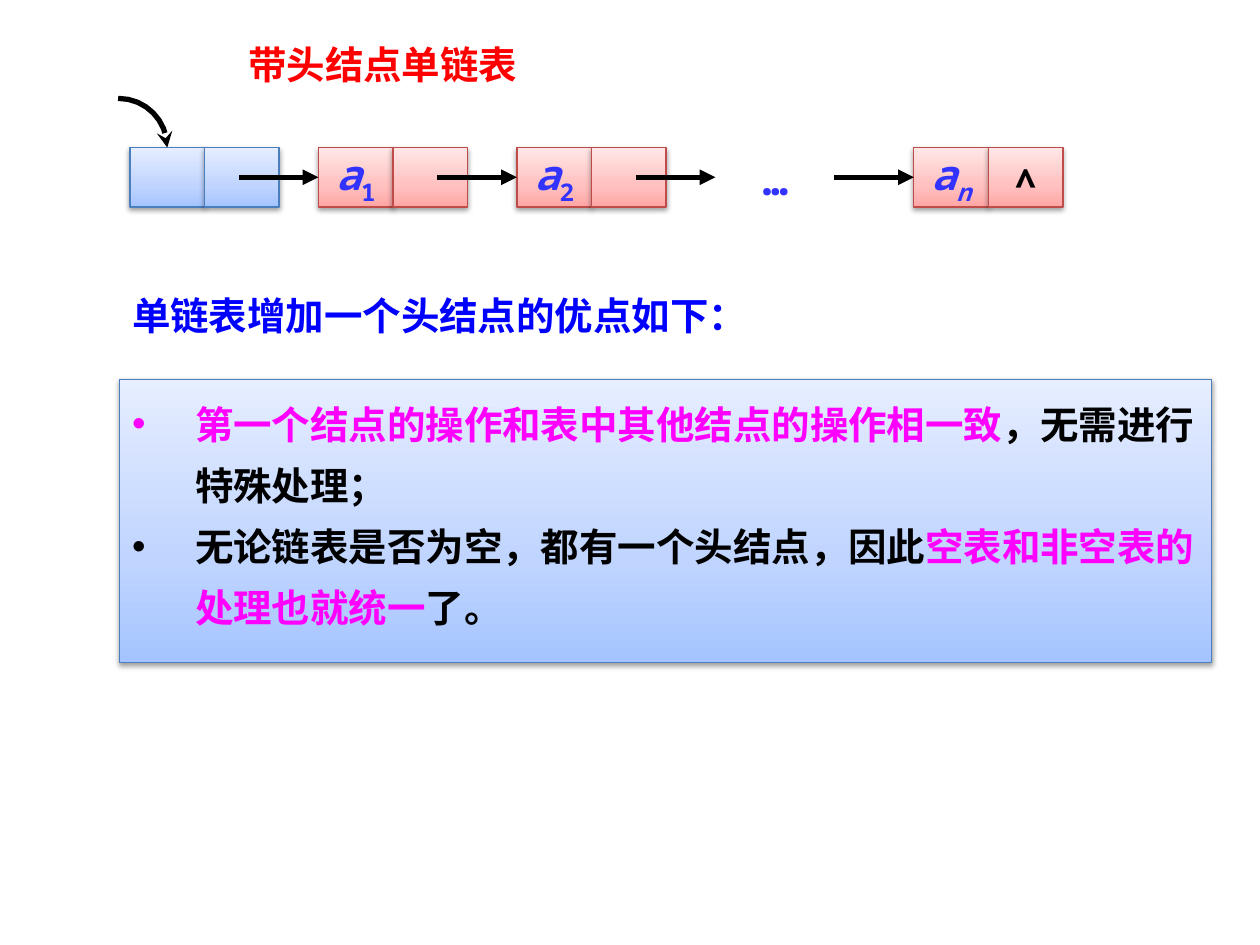
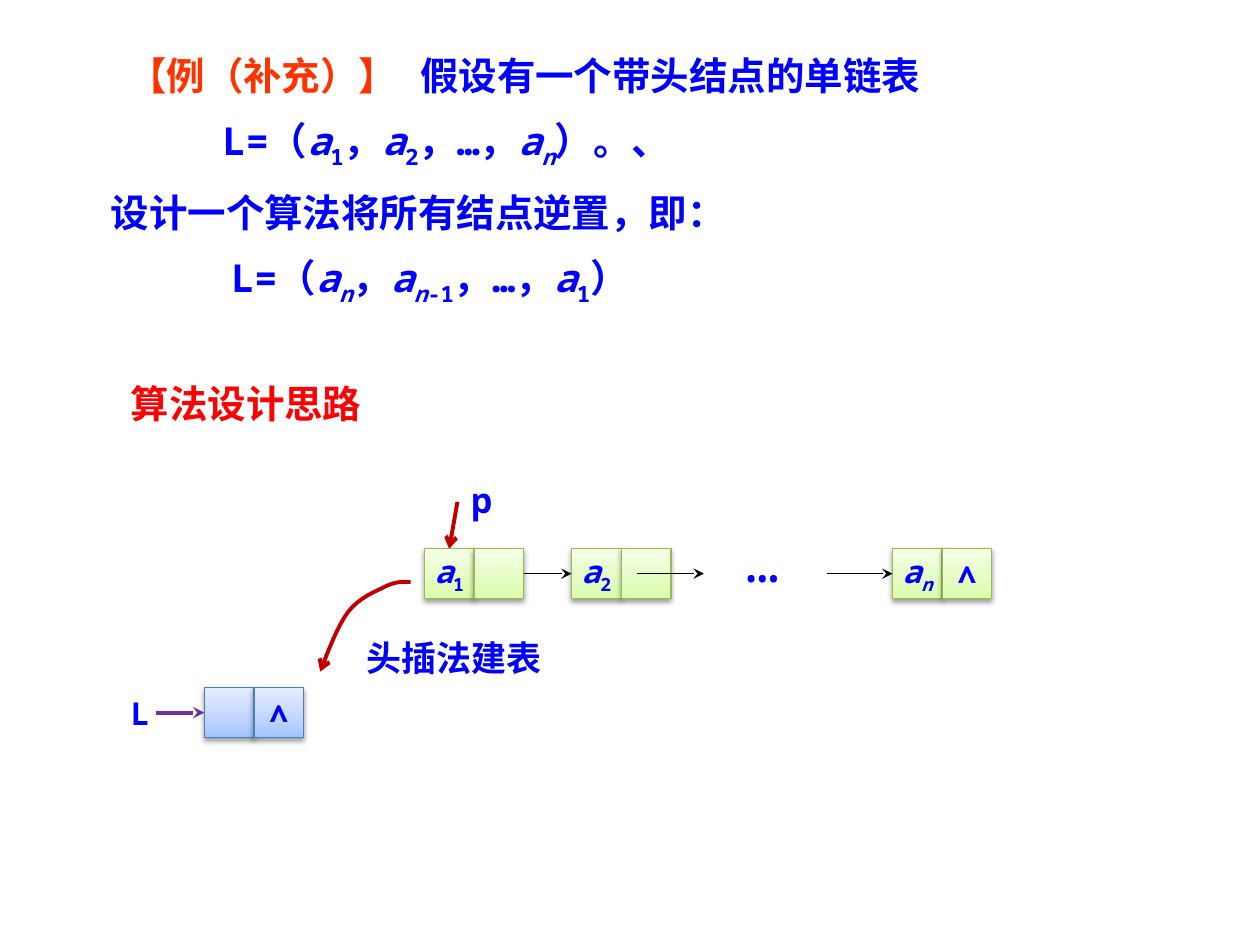
from lxml.etree import SubElement
from pptx import Presentation
from pptx.dml.color import RGBColor
from pptx.enum.lang import MSO_LANGUAGE_ID
from pptx.enum.shapes import MSO_CONNECTOR, MSO_SHAPE
from pptx.enum.text import MSO_ANCHOR, PP_ALIGN
from pptx.oxml.ns import qn
from pptx.util import Pt

FONT = "Noto Sans Mono"
BLACK = RGBColor(0x00, 0x00, 0x00)
BLUE = RGBColor(0x00, 0x00, 0xFF)
INDIGO = RGBColor(0x33, 0x33, 0xFF)
RED = RGBColor(0xFF, 0x00, 0x00)
ORANGE = RGBColor(0xFF, 0x33, 0x00)
MAGENTA = RGBColor(0xFF, 0x00, 0xFF)
DARK_RED = RGBColor(0xC0, 0x00, 0x00)
PURPLE = RGBColor(0x70, 0x30, 0xA0)

# Palettes: border, then gradient colours from bottom to top
BLUE_CELL = [RGBColor.from_string(c) for c in ("4B7EBC", "A4C4FF", "BFD4FF", "E6EEFF")]
RED_CELL = [RGBColor.from_string(c) for c in ("BF4C48", "FFA6A5", "FFC0BF", "FFE7E7")]
GREEN_CELL = [RGBColor.from_string(c) for c in ("98B955", "DAFDA7", "E4FCC2", "F5FFE7")]
GRADIENT_STOPS = (0, 35000, 100000)


def term(index, index_style="_"):
    """Runs for the letter a with a subscript index."""
    return [("a", "i"), (index, index_style)]


class SlideBuilder:
    """Holds the shared style and the slide being drawn."""

    def __init__(self, presentation):
        self.presentation = presentation
        self.slide = None

    def new_slide(self):
        self.slide = self.presentation.slides.add_slide(self.presentation.slide_layouts[6])

    def add_runs(self, paragraph, runs, size, color, bold=True):
        """Add runs given as (text, style, colour); style i is italic, _ is subscript."""
        for text, style, *own_color in runs:
            run = paragraph.add_run()
            run.text = text
            font = run.font
            font.size, font.bold, font.italic = Pt(size), bold, "i" in style
            font.name = FONT
            font.language_id = MSO_LANGUAGE_ID.SIMPLIFIED_CHINESE
            font.color.rgb = own_color[0] if own_color else color
            properties = run._r.get_or_add_rPr()
            SubElement(properties, qn("a:ea"), typeface=FONT)
            if "_" in style:
                properties.set("baseline", "-25000")

    def text(self, box, paragraphs, size, color, align=PP_ALIGN.LEFT, indents=(), bold=True):
        """Text box; each paragraph is a list of runs."""
        frame = self.slide.shapes.add_textbox(*map(Pt, box)).text_frame
        frame.word_wrap = True
        for number, runs in enumerate(paragraphs):
            paragraph = frame.add_paragraph() if number else frame.paragraphs[0]
            paragraph.alignment = align
            properties = paragraph._p.get_or_add_pPr()
            if indents:
                properties.set("marL", str(Pt(indents[number])))
            if number:
                space = SubElement(properties, qn("a:spcBef"))
                SubElement(space, qn("a:spcPct"), val="50000")
            self.add_runs(paragraph, runs, size, color, bold)

    def panel(self, box, palette):
        """Rectangle with a vertical gradient and a soft shadow."""
        shape = self.slide.shapes.add_shape(MSO_SHAPE.RECTANGLE, *map(Pt, box))
        border, *colors = palette
        shape.line.color.rgb = border
        shape.line.width = Pt(0.75)
        shape.fill.gradient()
        shape.fill.gradient_angle = 90
        properties = shape._element.spPr
        stops = properties.find(".//" + qn("a:gsLst"))
        stops.clear()
        for position, color in zip(GRADIENT_STOPS, colors):
            stop = SubElement(stops, qn("a:gs"), pos=str(position))
            SubElement(stop, qn("a:srgbClr"), val=str(color))
        shape.shadow.inherit = False
        shadow = SubElement(properties.find(qn("a:effectLst")), qn("a:outerShdw"),
                            blurRad=str(Pt(3.1)), dist=str(Pt(1.6)), dir="5400000", rotWithShape="0")
        shade = SubElement(shadow, qn("a:srgbClr"), val=str(BLACK))
        SubElement(shade, qn("a:alpha"), val="38000")
        return shape

    def node(self, left, top, cell, palette, data=(), link=(), size=18, color=BLUE):
        """List node: a data cell and a link cell side by side; returns both."""
        width, height = cell
        cells = []
        for column, runs in enumerate((data, link)):
            shape = self.panel((left + column * width, top, width, height), palette)
            frame = shape.text_frame
            frame.word_wrap = False
            frame.vertical_anchor = MSO_ANCHOR.MIDDLE
            if runs:
                frame.paragraphs[0].alignment = PP_ALIGN.CENTER
                self.add_runs(frame.paragraphs[0], runs, size, color)
            cells.append(shape)
        return cells

    def bullets(self, box, paragraphs, size, spacing, indent):
        """Gradient panel holding a bulleted list."""
        frame = self.panel(box, BLUE_CELL).text_frame
        frame.word_wrap = True
        frame.vertical_anchor = MSO_ANCHOR.TOP
        for number, runs in enumerate(paragraphs):
            paragraph = frame.add_paragraph() if number else frame.paragraphs[0]
            paragraph.alignment = PP_ALIGN.LEFT
            paragraph.line_spacing = Pt(spacing)
            properties = paragraph._p.get_or_add_pPr()
            properties.set("marL", str(Pt(indent)))
            properties.set("indent", str(-Pt(indent)))
            SubElement(properties, qn("a:buFont"), typeface="Arial")
            SubElement(properties, qn("a:buChar"), char="•")
            self.add_runs(paragraph, runs, size, BLACK)

    def style_line(self, shape, color, width, head):
        shape.line.color.rgb = color
        shape.line.width = Pt(width)
        SubElement(shape._element.spPr.find(qn("a:ln")), qn("a:tailEnd"), type=head)

    def arrow(self, start, end, color, width, head, source=None, target=None):
        """Straight arrow; source and target are (shape, side) to join."""
        connector = self.slide.shapes.add_connector(MSO_CONNECTOR.STRAIGHT, *map(Pt, start + end))
        if source:
            connector.begin_connect(*source)
        if target:
            connector.end_connect(*target)
        self.style_line(connector, color, width, head)
        SubElement(connector._element.spPr, qn("a:effectLst"))

    def curved_arrow(self, points, color, width, head, steps=8):
        """Open outline along joined cubic curves that share their end points."""
        outline = []
        for first in range(0, len(points) - 1, 3):
            controls = points[first:first + 4]
            for step in range(1, steps + 1):
                t = step / steps
                weights = ((1 - t) ** 3, 3 * t * (1 - t) ** 2, 3 * t * t * (1 - t), t ** 3)
                outline.append(tuple(Pt(sum(w * p[axis] for w, p in zip(weights, controls)))
                                     for axis in (0, 1)))
        builder = self.slide.shapes.build_freeform(*map(Pt, points[0]))
        builder.add_line_segments(outline, close=False)
        shape = builder.convert_to_shape()
        shape.fill.background()
        shape.shadow.inherit = False
        self.style_line(shape, color, width, head)


def head_node_slide(builder):
    builder.new_slide()
    cell, top, first_left, pitch = (42.6, 34), 84.3, 182, 113.4
    middle = top + cell[1] / 2

    # Linked list with its head node
    builder.node(74.3, top, cell, BLUE_CELL)
    targets = {}
    for place, index, style in ((0, "1", "_"), (1, "2", "_"), (3, "n", "i_")):
        link = [("∧", "", BLACK)] if index == "n" else ()
        data_cell, link_cell = builder.node(first_left + place * pitch, top, cell, RED_CELL,
                                            term(index, style), link, 24, INDIGO)
        for run in link_cell.text_frame.paragraphs[0].runs:
            run.font.size = Pt(20)
        targets[place] = (data_cell, 1)
    builder.text((420.5, 84.3, 45.4, 36), [[("…", "")]], 24, INDIGO, PP_ALIGN.CENTER)
    builder.curved_arrow([(67.5, 56.2), (83.5, 56.2), (95.6, 69), (95.6, 84.3)], BLACK, 3, "stealth")
    for place in range(4):
        end = first_left + place * pitch
        builder.arrow((end - 45.4, middle), (end, middle), BLACK, 3, "triangle",
                      target=targets.get(place))

    # Advantages
    builder.bullets((68.4, 216.7, 624, 162), [
        [("第一个结点的操作和表中其他结点的操作相一致", "", MAGENTA), ("，无需进行特殊处理；", "")],
        [("无论链表是否为空，都有一个头结点，因此", ""),
         ("空表和非空表的处理也就统一", "", MAGENTA), ("了。", "")],
    ], 22, 35, 36)
    builder.text((68.4, 163.4, 391, 34), [[("单链表增加一个头结点的优点如下：", "")]], 22, BLUE)
    builder.text((134.8, 20, 191.5, 34), [[("带头结点单链表", "")]], 22, RED)


def reverse_list_slide(builder):
    builder.new_slide()

    # Problem statement
    comma, dots = ("，", ""), ("，…，", "")
    builder.text((56.2, 26, 551.5, 154), [
        [("【例（补充）】 ", "", ORANGE), ("假设有一个带头结点的单链表", "")],
        [("L=（", ""), *term("1"), comma, *term("2"), dots, *term("n", "i_"), ("）。、", "")],
        [("设计一个算法将所有结点逆置，即：", "")],
        [("L=（", ""), *term("n", "i_"), comma, *term("n", "i_"), ("-1", "_"), dots,
         *term("1"), ("）", "")],
    ], 22, BLUE, PP_ALIGN.JUSTIFY, indents=(10, 64, 0, 69))
    builder.text((67.7, 213.8, 221, 34), [[("算法设计思路", "")]], 22, RED)

    cell, top, head_top = (28.4, 28.4), 313.6, 393
    middle, head_middle = top + cell[1] / 2, head_top + cell[1] / 2
    end_mark = [("∧", "")]

    # Empty list with its head node
    head, _ = builder.node(116.8, head_top, cell, BLUE_CELL, link=end_mark)
    builder.arrow((89.4, head_middle), (116.8, head_middle), PURPLE, 2.25, "stealth",
                  target=(head, 1))
    builder.text((67.7, 393, 21, 29), [[("L", "")]], 18, BLUE)

    # Remaining nodes
    first, first_link = builder.node(242.5, top, cell, GREEN_CELL, term("1"))
    second, _ = builder.node(326.6, top, cell, GREEN_CELL, term("2"))
    last, _ = builder.node(510, top, cell, GREEN_CELL, term("n", "i_"), end_mark)
    for start, end, source, target in (
            (299.3, 326.6, (first_link, 3), (second, 1)),
            (363.8, 402.2, None, None),
            (472.5, 510, None, (last, 1))):
        builder.arrow((start, middle), (end, middle), BLACK, 0.75, "stealth", source, target)
    builder.text((419, 297.4, 57, 45.4), [[("…", "")]], 32, BLUE, bold=False)

    # Pointer p and insertion at the head
    builder.arrow((261.4, 286.8), (256.7, top), DARK_RED, 2.25, "arrow", target=(first, 0))
    builder.text((255.6, 270, 39.6, 31.7), [[("p", "")]], 20, BLUE, PP_ALIGN.CENTER)
    builder.curved_arrow([(234.7, 332.6), (231, 332.6), (227, 332), (221, 334.8),
                          (215.3, 337.7), (205.2, 341.3), (198.7, 350),
                          (193, 357.8), (188, 370.8), (183, 383.8)], DARK_RED, 2.25, "arrow")
    builder.text((202.3, 360, 147.6, 31), [[("头插法建表", "")]], 20, BLUE)


def main():
    presentation = Presentation()
    presentation.slide_width, presentation.slide_height = Pt(720), Pt(540)
    builder = SlideBuilder(presentation)
    head_node_slide(builder)
    reverse_list_slide(builder)
    presentation.save("out.pptx")


if __name__ == "__main__":
    main()
